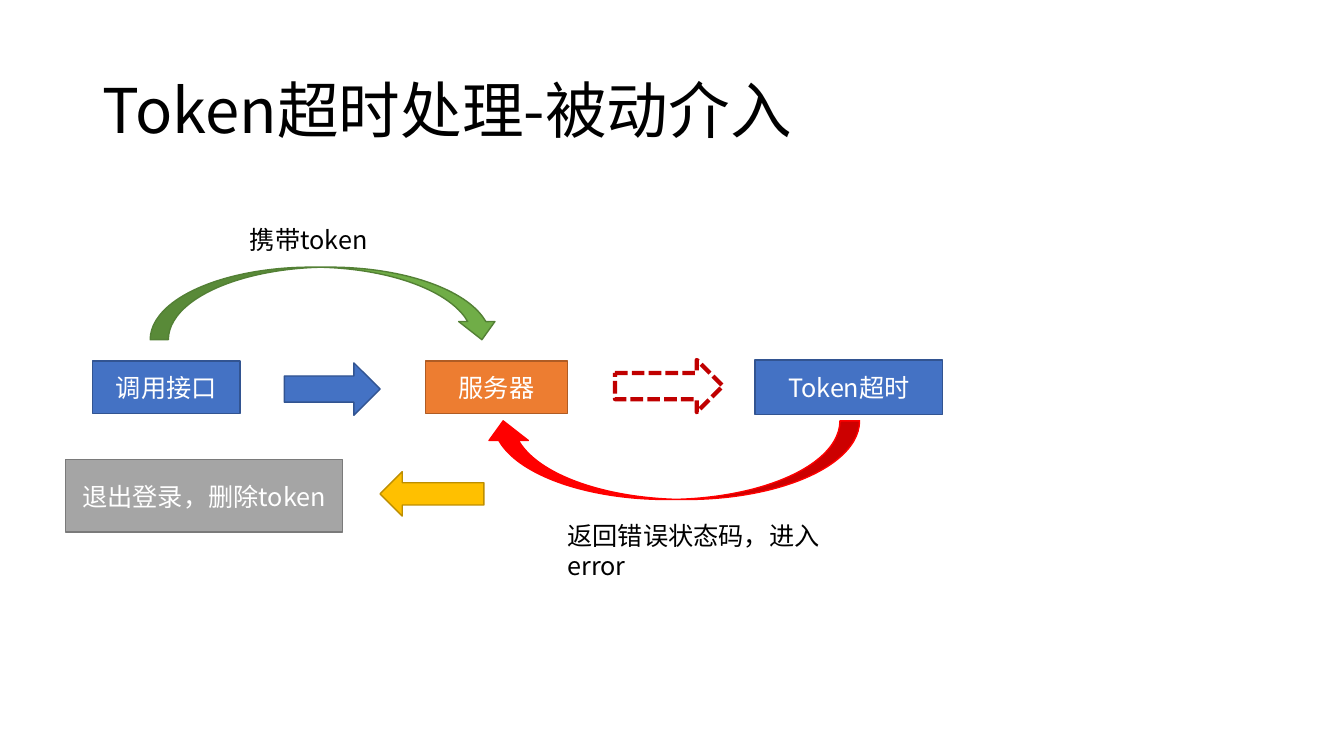
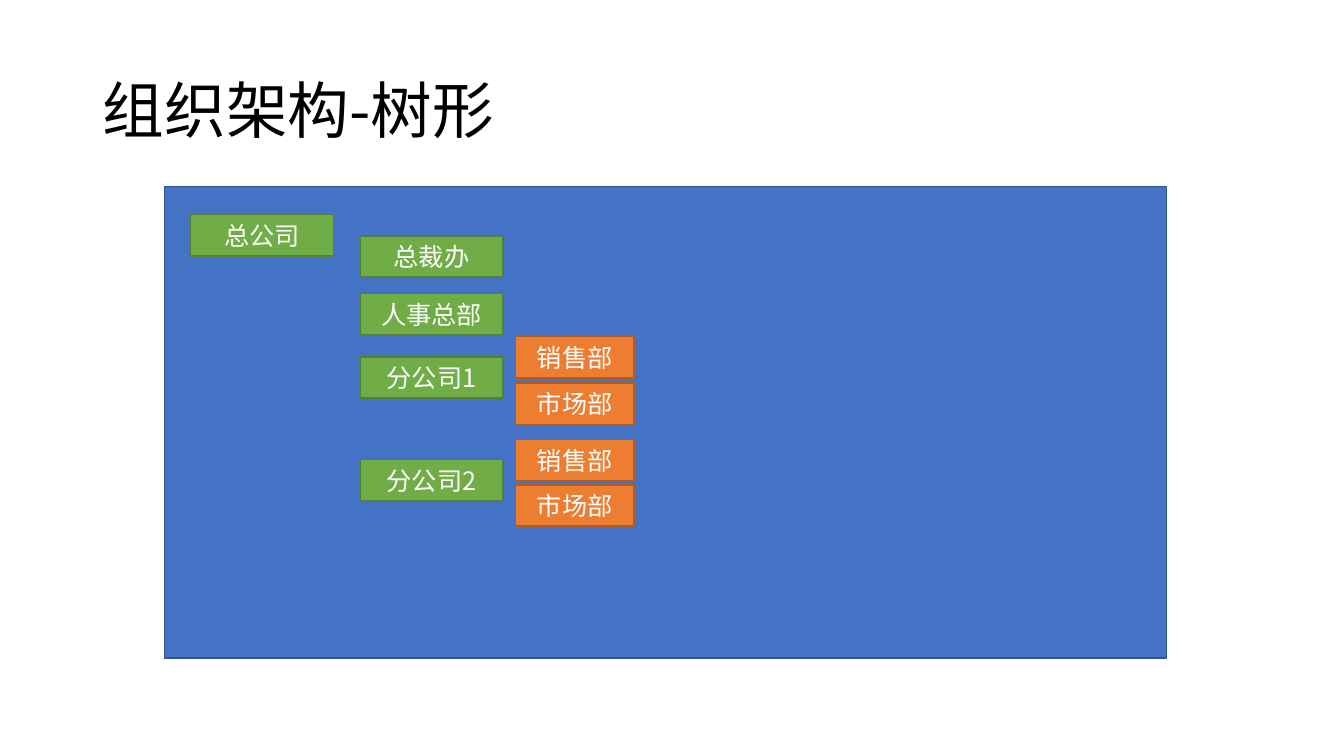
from lxml import etree
from pptx import Presentation
from pptx.dml.color import RGBColor
from pptx.enum.dml import MSO_LINE
from pptx.enum.shapes import MSO_SHAPE
from pptx.enum.text import MSO_ANCHOR, MSO_AUTO_SIZE, PP_ALIGN
from pptx.oxml.ns import qn
from pptx.util import Inches, Pt

RECT = MSO_SHAPE.RECTANGLE
RIGHT_ARROW, LEFT_ARROW = MSO_SHAPE.RIGHT_ARROW, MSO_SHAPE.LEFT_ARROW
CURVED_DOWN, CURVED_LEFT = MSO_SHAPE.CURVED_DOWN_ARROW, MSO_SHAPE.CURVED_LEFT_ARROW
LEFT, CENTER = PP_ALIGN.LEFT, PP_ALIGN.CENTER
TOP, MIDDLE = MSO_ANCHOR.TOP, MSO_ANCHOR.MIDDLE
NO_FIT, GROW = MSO_AUTO_SIZE.NONE, MSO_AUTO_SIZE.SHAPE_TO_FIT_TEXT
DASHED = MSO_LINE.SQUARE_DOT

FONT = "Noto Sans CJK SC"
BLACK, WHITE = "000000", "FFFFFF"
# Fill and outline pairs
BLUE, ORANGE = ("4472C4", "325491"), ("ED7D31", "AF5C24")
GREEN, GRAY = ("70AD47", "538035"), ("A5A5A5", "7A7A7A")
YELLOW, RED = ("FFC000", "BD8E00"), ("FF0000", "FF0000")
HOLLOW = (WHITE, "C00000")


def write_text(shape, text, size=18, color=BLACK, align=LEFT, anchor=TOP,
               fit=NO_FIT, spacing=1.0):
    frame = shape.text_frame
    frame.word_wrap = True
    frame.auto_size = fit
    frame.vertical_anchor = anchor
    para = frame.paragraphs[0]
    para.alignment = align
    para.line_spacing = spacing
    span = para.add_run()
    span.text = text
    span.font.size = Pt(size)
    span.font.name = FONT
    span.font.color.rgb = RGBColor.from_string(color)
    # Chinese characters take their font from the East Asian slot
    latin = span.font._element.find(qn("a:latin"))
    east_asian = etree.Element(qn("a:ea"), typeface=FONT)
    latin.addnext(east_asian)


def add_block(page, kind, place, colors, text="", line_width=1):
    shape = page.shapes.add_shape(kind, *map(Inches, place))
    shape.shadow.inherit = False
    fill, outline = colors
    shape.fill.solid()
    shape.fill.fore_color.rgb = RGBColor.from_string(fill)
    shape.line.color.rgb = RGBColor.from_string(outline)
    shape.line.width = Pt(line_width)
    if text:
        write_text(shape, text, color=WHITE, align=CENTER, anchor=MIDDLE)
    return shape


deck = Presentation()
deck.slide_width, deck.slide_height = Inches(13.33), Inches(7.5)

# Pages with their titles
pages = []
for heading in ("Token超时处理-被动介入", "组织架构-树形"):
    page = deck.slides.add_slide(deck.slide_layouts[5])
    title = page.shapes.title
    title.left, title.top = Inches(0.92), Inches(0.4)
    title.width, title.height = Inches(11.5), Inches(1.45)
    write_text(title, heading, size=44, anchor=MIDDLE, spacing=0.9)
    pages.append(page)
token_page, tree_page = pages

# Token flow: steps
for text, place, colors in (
    ("调用接口", (0.92, 3.58, 1.46, 0.52), BLUE),
    ("服务器", (4.22, 3.58, 1.41, 0.52), ORANGE),
    ("Token超时", (7.49, 3.57, 1.86, 0.54), BLUE),
    ("退出登录，删除token", (0.65, 4.56, 2.75, 0.72), GRAY),
):
    add_block(token_page, RECT, place, colors, text)

# Token flow: arrows
add_block(token_page, RIGHT_ARROW, (2.82, 3.6, 0.95, 0.52), BLUE)
add_block(token_page, CURVED_DOWN, (1.49, 2.65, 3.47, 0.72), GREEN)
timeout_arrow = add_block(token_page, RIGHT_ARROW, (6.1, 3.57, 1.07, 0.52), HOLLOW,
                          line_width=3)
timeout_arrow.line.dash_style = DASHED
error_arrow = add_block(token_page, CURVED_LEFT, (6.27, 2.7, 0.78, 3.73), RED)
error_arrow.rotation = 90
add_block(token_page, LEFT_ARROW, (3.77, 4.68, 1.03, 0.44), YELLOW)

# Token flow: labels on the curved arrows
for text, place in (
    ("携带token", (2.38, 2.18, 2.05, 0.4)),
    ("返回错误状态码，进入error", (5.53, 5.11, 3.26, 0.4)),
):
    box = token_page.shapes.add_textbox(*map(Inches, place))
    write_text(box, text, fit=GROW)

# Organisation tree: each level has its own column, width and colour
add_block(tree_page, RECT, (1.63, 1.85, 9.94, 4.68), BLUE)
NODE_HEIGHT = 0.41
for left, width, colors, nodes in (
    (1.89, 1.42, GREEN, (("总公司", 2.13),)),
    (3.57, 1.42, GREEN, (("总裁办", 2.34), ("人事总部", 2.91),
                         ("分公司1", 3.54), ("分公司2", 4.56))),
    (5.11, 1.18, ORANGE, (("销售部", 3.34), ("市场部", 3.8),
                          ("销售部", 4.36), ("市场部", 4.81))),
):
    for text, top in nodes:
        add_block(tree_page, RECT, (left, top, width, NODE_HEIGHT), colors, text)

deck.save("out.pptx")
